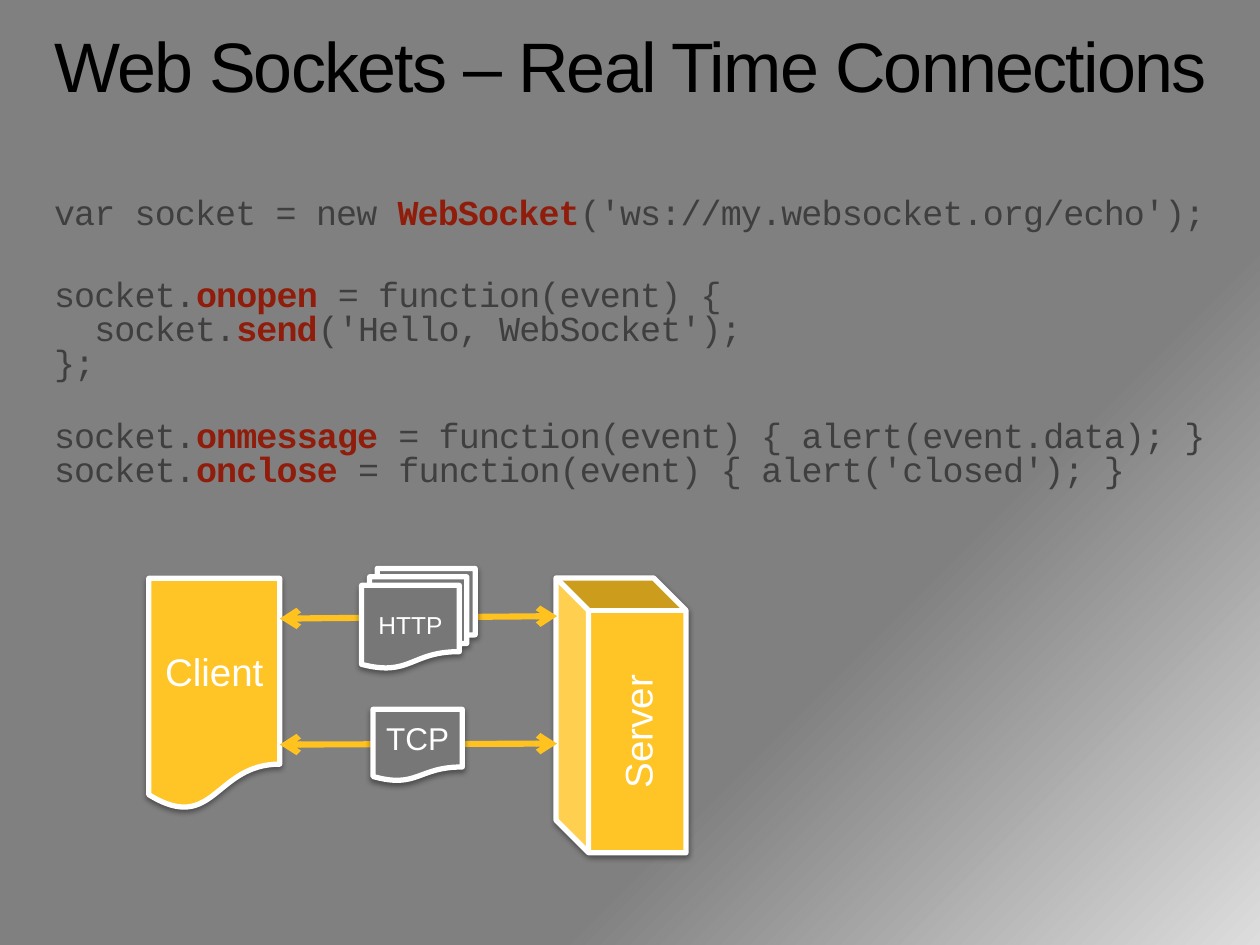
from lxml.etree import SubElement
from pptx import Presentation
from pptx.dml.color import RGBColor
from pptx.enum.shapes import MSO_CONNECTOR, MSO_SHAPE
from pptx.enum.text import MSO_ANCHOR, MSO_AUTO_SIZE, PP_ALIGN
from pptx.oxml.ns import qn
from pptx.util import Cm, Pt

COLORS = {
    "black": "000000",
    "white": "FFFFFF",
    "code": "3F3F3F",
    "keyword": "901D0B",
    "box": "FFC425",
    "arrow": "FFC21F",
    "message": "777777",
    "background": "808080",
    "glow": "DEDDDE",
}
SANS, MONO = "Arial", "Courier New"

# Each block is a list of lines; words between asterisks are keywords
CODE_BLOCKS = [
    (0, ["var socket = new *WebSocket*('ws://my.websocket.org/echo');"]),
    (27.3, ["socket.*onopen* = function(event) {",
            "  socket.*send*('Hello, WebSocket');",
            "};"]),
    (22, ["socket.*onmessage* = function(event) { alert(event.data); }",
          "socket.*onclose* = function(event) { alert('closed'); }"]),
]


def rgb(name):
    return RGBColor.from_string(COLORS[name])


class SlideBuilder:
    """Holds the style and the current slide."""

    def __init__(self, slide):
        self.slide = slide

    def background(self):
        fill = self.slide.background.fill
        fill.gradient()
        for stop, color, position in zip(
                fill.gradient_stops, ("background", "glow"), (0.68, 1)):
            stop.color.rgb = rgb(color)
            stop.position = position
        gradient = self.slide.element.find(".//" + qn("a:gradFill"))
        gradient.remove(gradient.find(qn("a:lin")))
        circle = SubElement(gradient, qn("a:path"), {"path": "circle"})
        SubElement(circle, qn("a:fillToRect"), {"r": "100000", "b": "100000"})

    def style_run(self, run, font, size, color, spacing=0, bold=False):
        run.font.name, run.font.size, run.font.bold = font, Pt(size), bold
        run.font.color.rgb = rgb(color)
        if spacing:
            run._r.get_or_add_rPr().set("spc", str(int(spacing * 100)))

    def place(self, shape, left, top, width, height):
        shape.left, shape.top = Cm(left), Cm(top)
        shape.width, shape.height = Cm(width), Cm(height)
        frame = shape.text_frame
        frame.margin_left = frame.margin_right = 0
        frame.margin_top = frame.margin_bottom = 0
        frame.vertical_anchor = MSO_ANCHOR.TOP
        frame.auto_size = MSO_AUTO_SIZE.NONE
        frame.word_wrap = True
        return frame

    def title(self, text, *bounds):
        frame = self.place(self.slide.shapes.title, *bounds)
        frame.text = text
        paragraph = frame.paragraphs[0]
        paragraph.alignment = PP_ALIGN.LEFT
        paragraph.line_spacing = 0.9
        self.style_run(paragraph.runs[0], SANS, 40, "black", -1)

    def code(self, blocks, *bounds):
        frame = self.place(self.slide.placeholders[1], *bounds)
        for index, (space, lines) in enumerate(blocks):
            paragraph = frame.add_paragraph() if index else frame.paragraphs[0]
            properties = paragraph._p.get_or_add_pPr()
            properties.set("marL", "0")
            properties.set("indent", "0")
            SubElement(properties, qn("a:buNone"))
            paragraph.space_before = Pt(space)
            paragraph.line_spacing = Pt(19.6)
            for number, line in enumerate(lines):
                if number:
                    paragraph.add_line_break()
                self.code_line(paragraph, line)
            for line_break in paragraph._p.findall(qn("a:br")):
                SubElement(line_break, qn("a:rPr"), {"sz": "2000"})

    def code_line(self, paragraph, line):
        for index, part in enumerate(line.split("*")):
            if part:
                run = paragraph.add_run()
                run.text = part
                keyword = index % 2 == 1
                self.style_run(run, MONO, 20, "keyword" if keyword else "code",
                               -0.5, keyword)

    def box(self, kind, text, size, color, left, top, width, height, rotation=0):
        shape = self.slide.shapes.add_shape(
            kind, Cm(left), Cm(top), Cm(width), Cm(height))
        shape.rotation = rotation
        shape.fill.solid()
        shape.fill.fore_color.rgb = rgb(color)
        shape.line.color.rgb = rgb("white")
        shape.line.width = Pt(3)
        self.shadow(shape)
        frame = shape.text_frame
        frame.text = text
        frame.vertical_anchor = MSO_ANCHOR.MIDDLE
        paragraph = frame.paragraphs[0]
        paragraph.alignment = PP_ALIGN.CENTER
        self.style_run(paragraph.runs[0], SANS, size, "white")

    def shadow(self, shape):
        shape.shadow.inherit = False
        effects = shape._element.spPr.find(qn("a:effectLst"))
        outer = SubElement(effects, qn("a:outerShdw"), {
            "blurRad": str(Pt(3.1)), "dist": str(Pt(1.6)),
            "dir": "5400000", "rotWithShape": "0"})
        color = SubElement(outer, qn("a:srgbClr"), {"val": COLORS["black"]})
        SubElement(color, qn("a:alpha"), {"val": "38000"})

    def double_arrow(self, left, top, right, bottom):
        connector = self.slide.shapes.add_connector(
            MSO_CONNECTOR.STRAIGHT, Cm(left), Cm(top), Cm(right), Cm(bottom))
        connector.line.color.rgb = rgb("arrow")
        connector.line.width = Pt(3.5)
        line = connector.line._get_or_add_ln()
        for end in ("a:headEnd", "a:tailEnd"):
            SubElement(line, qn(end), {"type": "arrow"})
        SubElement(connector._element.spPr, qn("a:effectLst"))


def main():
    presentation = Presentation()
    presentation.slide_width, presentation.slide_height = Cm(25.4), Cm(19.05)
    slide = presentation.slides.add_slide(presentation.slide_layouts[1])
    builder = SlideBuilder(slide)
    builder.background()

    # Title and code listing
    builder.title("Web Sockets – Real Time Connections", 1.09, 0.64, 23.4, 1.57)
    builder.code(CODE_BLOCKS, 1.09, 3.99, 23.4, 5.84)

    # Server and client
    builder.box(MSO_SHAPE.CUBE, "Server", 22, "box",
                9.75, 13.11, 5.54, 2.62, rotation=270)
    builder.box(MSO_SHAPE.FLOWCHART_DOCUMENT, "Client", 22, "box",
                3, 11.66, 2.64, 4.67)

    # Connections between them, with the protocol on top of each
    builder.double_arrow(5.64, 12.47, 11.23, 12.42)
    builder.double_arrow(5.64, 15.01, 11.23, 14.99)
    builder.box(MSO_SHAPE.FLOWCHART_DOCUMENT, "TCP", 18, "message",
                7.52, 14.3, 1.8, 1.45)
    builder.box(MSO_SHAPE.FLOWCHART_MULTIDOCUMENT, "HTTP", 14, "message",
                7.29, 11.46, 2.29, 2.01)

    presentation.save("out.pptx")


if __name__ == "__main__":
    main()
